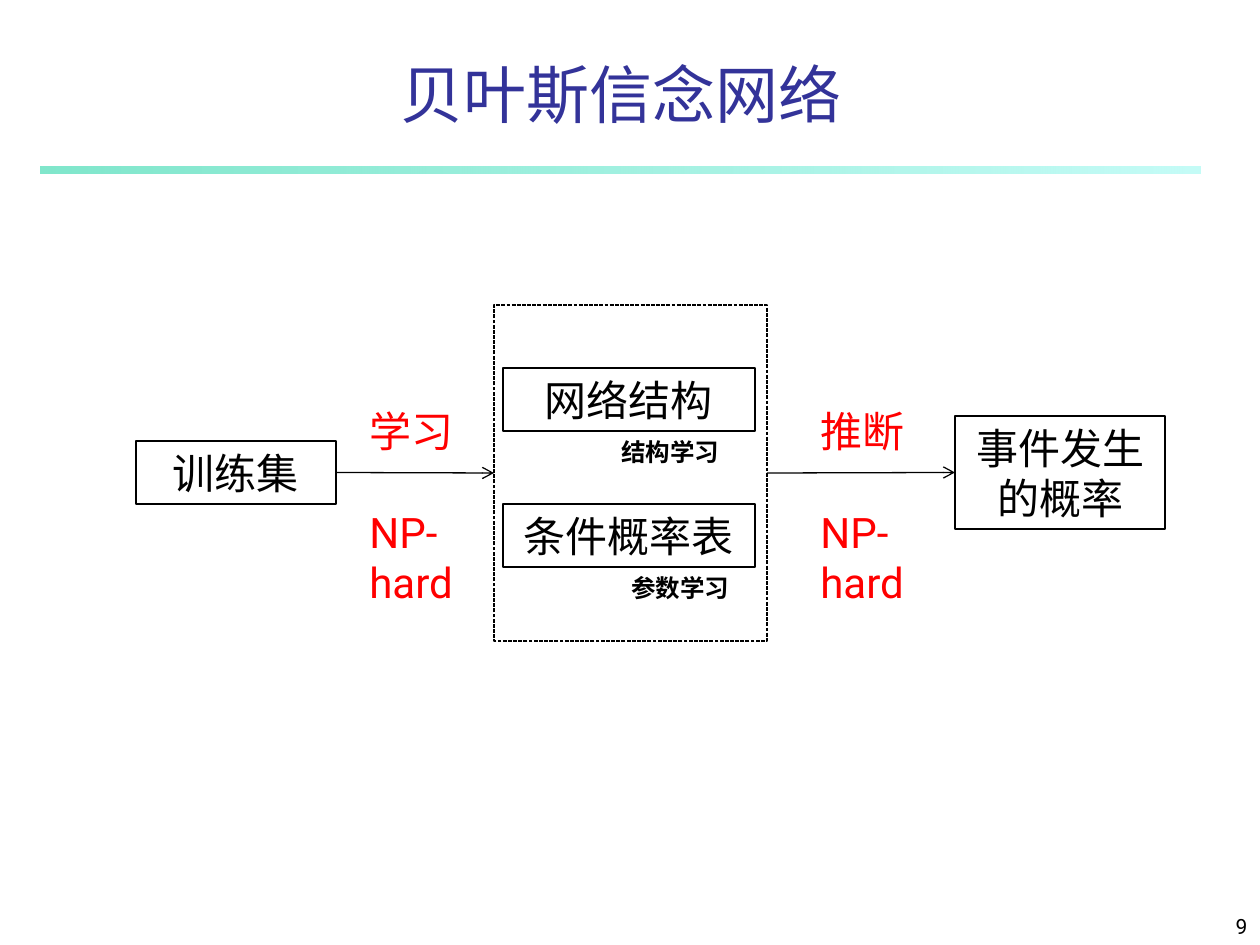
from dataclasses import dataclass

import lxml.etree
import pptx
import pptx.dml.color
import pptx.enum.dml
import pptx.enum.lang
import pptx.enum.shapes
import pptx.enum.text
import pptx.oxml.ns
import pptx.util

EMU_PER_PX = 914400 / 126
FONT = "Roboto"
BLACK = "000000"
RED = "FF0000"
ALIGN = pptx.enum.text.PP_ALIGN
ANCHOR = pptx.enum.text.MSO_ANCHOR
FIT = pptx.enum.text.MSO_AUTO_SIZE


@dataclass(frozen=True)
class Box:
    left: int
    top: int
    width: int
    height: int


@dataclass(frozen=True)
class Node:
    text: str
    box: Box


@dataclass(frozen=True)
class Label:
    lines: tuple[str, ...]
    box: Box
    size: int = 24
    color: str = RED
    bold: bool = False
    gap: int = 0


def px(length: int) -> pptx.util.Emu:
    return pptx.util.Emu(round(length * EMU_PER_PX))


def bounds(box: Box) -> tuple[pptx.util.Emu, ...]:
    return px(box.left), px(box.top), px(box.width), px(box.height)


def rgb(color: str) -> pptx.dml.color.RGBColor:
    return pptx.dml.color.RGBColor.from_string(color)


def add_child(parent, tag: str, **attributes: str):
    return lxml.etree.SubElement(parent, pptx.oxml.ns.qn(tag), attributes)


def write(frame, *lines: str, size: int = 24, color: str = BLACK, bold: bool = False,
          align=ALIGN.LEFT, anchor=ANCHOR.TOP, fit=FIT.SHAPE_TO_FIT_TEXT, gap: int = 0) -> None:
    frame.word_wrap = True
    frame.auto_size = fit
    frame.vertical_anchor = anchor
    for index, line in enumerate(lines):
        paragraph = frame.add_paragraph() if index else frame.paragraphs[0]
        paragraph.alignment = align
        paragraph.space_before = pptx.util.Pt(gap if index else 0)
        run = paragraph.add_run()
        run.text = line
        run.font.name = FONT
        run.font.size = pptx.util.Pt(size)
        run.font.bold = bold
        run.font.color.rgb = rgb(color)
        run.font.language_id = pptx.enum.lang.MSO_LANGUAGE_ID.SIMPLIFIED_CHINESE
        add_child(run.font._element, "a:ea", typeface=FONT)


def add_rectangle(slide, box: Box):
    rectangle = slide.shapes.add_shape(pptx.enum.shapes.MSO_SHAPE.RECTANGLE, *bounds(box))
    rectangle.shadow.inherit = False
    return rectangle


def add_outline(slide, box: Box, width: float = 1):
    outline = add_rectangle(slide, box)
    outline.fill.background()
    outline.line.color.rgb = rgb(BLACK)
    outline.line.width = pptx.util.Pt(width)
    return outline


def add_node(slide, node: Node):
    outline = add_outline(slide, node.box)
    write(outline.text_frame, node.text, align=ALIGN.CENTER)
    return outline


def add_label(slide, label: Label) -> None:
    textbox = slide.shapes.add_textbox(*bounds(label.box))
    write(textbox.text_frame, *label.lines, size=label.size, color=label.color,
          bold=label.bold, gap=label.gap)


def add_arrow(slide, source, target) -> None:
    arrow = slide.shapes.add_connector(pptx.enum.shapes.MSO_CONNECTOR.STRAIGHT, 0, 0, 0, 0)
    arrow.begin_connect(source, 3)
    arrow.end_connect(target, 1)
    arrow.line.color.rgb = rgb(BLACK)
    arrow.line.width = pptx.util.Pt(0.75)
    add_child(arrow.line._get_or_add_ln(), "a:tailEnd", type="arrow")
    add_child(arrow._element.spPr, "a:effectLst")


def add_rule(slide, box: Box, stops: tuple[tuple[str, int], ...]) -> None:
    rule = add_rectangle(slide, box)
    rule.line.fill.background()
    rule.fill.gradient()
    rule.fill.gradient_angle = 0
    for stop, (color, opacity) in zip(rule.fill.gradient_stops, stops):
        stop.color.rgb = rgb(color)
        srgb = stop._gs.find(pptx.oxml.ns.qn("a:srgbClr"))
        add_child(srgb, "a:alpha", val=str(opacity * 1000))


TRAINING_SET = Node("训练集", Box(136, 441, 200, 63))
EVENT_PROBABILITY = Node("事件发生的概率", Box(955, 416, 210, 113))
MODEL_PARTS = (
    Node("网络结构", Box(503, 368, 252, 63)),
    Node("条件概率表", Box(503, 504, 252, 63)),
)
MODEL = Box(494, 305, 273, 336)
LABELS = (
    Label(("学习", "NP-hard"), Box(357, 399, 116, 214), gap=29),
    Label(("推断", "NP-hard"), Box(808, 399, 126, 214), gap=29),
    Label(("结构学习",), Box(609, 431, 136, 42), size=14, color=BLACK, bold=True),
    Label(("参数学习",), Box(619, 567, 136, 42), size=14, color=BLACK, bold=True),
)


def main() -> None:
    presentation = pptx.Presentation()
    presentation.slide_width = px(1260)
    presentation.slide_height = px(945)
    slide = presentation.slides.add_slide(presentation.slide_layouts[5])

    add_rule(slide, Box(41, 167, 1160, 7), (("00CE98", 50), ("8FF9EF", 52)))

    title = slide.shapes.title
    title.left, title.top, title.width, title.height = bounds(Box(42, 53, 1158, 84))
    write(title.text_frame, "贝叶斯信念网络", size=36, color="333399",
          align=ALIGN.CENTER, anchor=ANCHOR.BOTTOM, fit=FIT.NONE)

    page_number = slide.shapes.add_textbox(*bounds(Box(998, 892, 262, 53)))
    write(page_number.text_frame, "9", size=12, align=ALIGN.RIGHT,
          anchor=ANCHOR.BOTTOM, fit=FIT.NONE)

    training_set = add_node(slide, TRAINING_SET)
    for part in MODEL_PARTS:
        add_node(slide, part)
    event_probability = add_node(slide, EVENT_PROBABILITY)

    model = add_outline(slide, MODEL, width=0.75)
    model.line.dash_style = pptx.enum.dml.MSO_LINE.SQUARE_DOT

    add_arrow(slide, training_set, model)
    add_arrow(slide, model, event_probability)
    for label in LABELS:
        add_label(slide, label)

    presentation.save("out.pptx")


if __name__ == "__main__":
    main()
